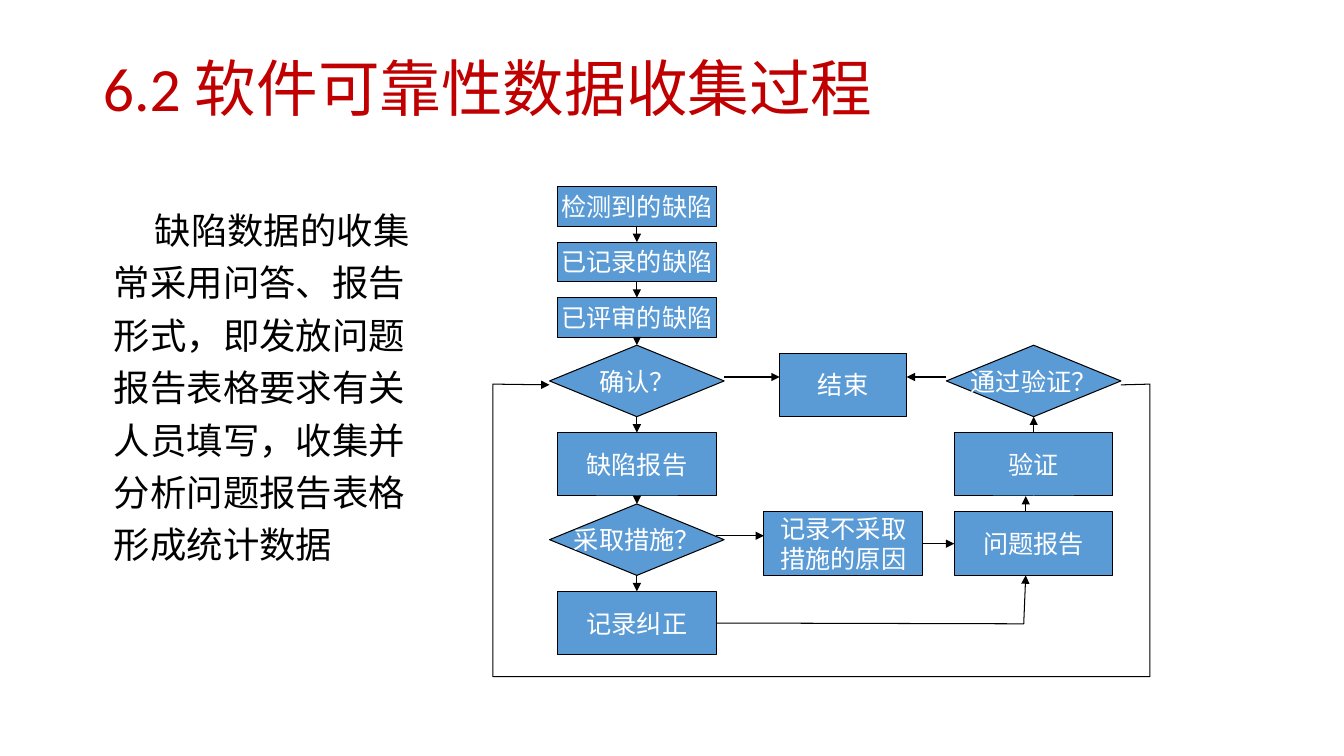
from lxml.etree import SubElement
from pptx import Presentation
from pptx.dml.color import RGBColor
from pptx.enum.shapes import MSO_CONNECTOR, MSO_SHAPE
from pptx.enum.text import MSO_ANCHOR, MSO_AUTO_SIZE, PP_ALIGN
from pptx.oxml.ns import qn
from pptx.util import Cm, Pt

COLOURS = {"title": "C00000", "ink": "000000", "box": "5B9BD5", "label": "FFFFFF"}
TOP, BOTTOM, LEFT, RIGHT = 0, 2, 1, 3
LEFT_COLUMN, MIDDLE_COLUMN, RIGHT_COLUMN = 16.05, 21.25, 26.05
SLIM, BLOCK, END = (4, 1), (4, 1.6), (3.2, 1.6)
DIAMOND = (4.4, 1.8)


def colour(name):
    return RGBColor.from_string(COLOURS[name])


class FlowSlide:
    def __init__(self, page, font="Calibri"):
        self.page = page
        self.font = font

    def format_text(self, frame, size, ink, align):
        for paragraph in frame.paragraphs:
            paragraph.alignment = align
            for span in paragraph.runs:
                span.font.name = self.font
                span.font.size = Pt(size)
                span.font.color.rgb = colour(ink)

    def title(self, text, left, top, width, height):
        box = self.page.shapes.title
        box.left, box.top, box.width, box.height = map(Cm, (left, top, width, height))
        frame = box.text_frame
        frame.text = text
        frame.auto_size = MSO_AUTO_SIZE.NONE
        frame.vertical_anchor = MSO_ANCHOR.MIDDLE
        frame.paragraphs[0].line_spacing = 0.9
        self.format_text(frame, 44, "title", PP_ALIGN.LEFT)

    def body(self, text, left, top, width, height):
        box = self.page.shapes.add_textbox(*map(Cm, (left, top, width, height)))
        frame = box.text_frame
        frame.word_wrap = True
        frame.text = text
        paragraph = frame.paragraphs[0]
        paragraph.line_spacing = 1.2
        paragraph._p.get_or_add_pPr().set("indent", str(Cm(1.03)))
        self.format_text(frame, 26, "ink", PP_ALIGN.LEFT)

    def node(self, text, centre, top, size):
        """Add a step, or a decision when the size is that of a diamond."""
        width, height = size
        kind = MSO_SHAPE.FLOWCHART_DECISION if size == DIAMOND else MSO_SHAPE.RECTANGLE
        shape = self.page.shapes.add_shape(
            kind, Cm(centre - width / 2), Cm(top), Cm(width), Cm(height))
        shape.shadow.inherit = False
        shape.fill.solid()
        shape.fill.fore_color.rgb = colour("box")
        self.outline(shape)
        frame = shape.text_frame
        frame.word_wrap = False
        frame.vertical_anchor = MSO_ANCHOR.MIDDLE
        frame.text = text
        self.format_text(frame, 18, "label", PP_ALIGN.CENTER)
        return shape

    def outline(self, shape, arrow=False):
        shape.line.color.rgb = colour("ink")
        shape.line.width = Pt(0.75)
        if arrow:
            SubElement(shape.line._get_or_add_ln(), qn("a:tailEnd"), type="triangle")

    def arrow(self, start=(0, 0), end=(0, 0)):
        points = [Cm(value) for value in (*start, *end)]
        line = self.page.shapes.add_connector(MSO_CONNECTOR.STRAIGHT, *points)
        self.outline(line, arrow=True)
        SubElement(line._element.spPr, qn("a:effectLst"))
        return line

    def join(self, source, source_side, target, target_side):
        line = self.arrow()
        line.begin_connect(source, source_side)
        line.end_connect(target, target_side)

    def bent_arrow(self, *points):
        first, *rest = [(Cm(x), Cm(y)) for x, y in points]
        builder = self.page.shapes.build_freeform(*first)
        builder.add_line_segments(rest, close=False)
        shape = builder.convert_to_shape()
        shape.shadow.inherit = False
        shape.fill.background()
        self.outline(shape, arrow=True)


def main():
    deck = Presentation()
    deck.slide_width, deck.slide_height = Cm(33.87), Cm(19.05)
    slide = FlowSlide(deck.slides.add_slide(deck.slide_layouts[5]))

    slide.title("6.2 软件可靠性数据收集过程", 2.34, 1.02, 29.21, 2.59)
    slide.body("缺陷数据的收集常采用问答、报告形式，即发放问题报告表格要求有关人员填写，"
               "收集并分析问题报告表格形成统计数据", 2.62, 4.9, 8.18, 9.6)

    steps = [
        ("检测到的缺陷", 4.7, SLIM),
        ("已记录的缺陷", 6.1, SLIM),
        ("已评审的缺陷", 7.5, SLIM),
        ("确认？", 8.7, DIAMOND),
        ("缺陷报告", 10.9, BLOCK),
        ("采取措施？", 12.7, DIAMOND),
        ("记录纠正", 14.9, BLOCK),
    ]
    chain = [slide.node(text, LEFT_COLUMN, top, size) for text, top, size in steps]
    slide.node("结束", MIDDLE_COLUMN, 8.9, END)
    reason = slide.node("记录不采取\n措施的原因", MIDDLE_COLUMN, 12.9, BLOCK)
    passed = slide.node("通过验证？", RIGHT_COLUMN, 8.7, DIAMOND)
    verify = slide.node("验证", RIGHT_COLUMN, 10.9, BLOCK)
    report = slide.node("问题报告", RIGHT_COLUMN, 12.9, BLOCK)

    for upper, lower in zip(chain, chain[1:]):
        slide.join(upper, BOTTOM, lower, TOP)
    slide.join(reason, RIGHT, report, LEFT)
    slide.join(verify, TOP, passed, BOTTOM)

    slide.arrow((18.25, 9.5), (19.65, 9.5))
    slide.arrow((18.05, 13.5), (19.25, 13.5))
    slide.arrow((23.85, 9.5), (22.85, 9.5))
    slide.arrow((25.85, 12.9), (25.85, 12.5))
    slide.bent_arrow((18.05, 15.7), (25.8, 15.72), (25.85, 14.5))
    slide.bent_arrow((28.25, 9.7), (28.98, 9.68), (28.98, 17.05),
                     (12.42, 17.05), (12.42, 9.68), (13.85, 9.7))

    deck.save("out.pptx")


if __name__ == "__main__":
    main()
